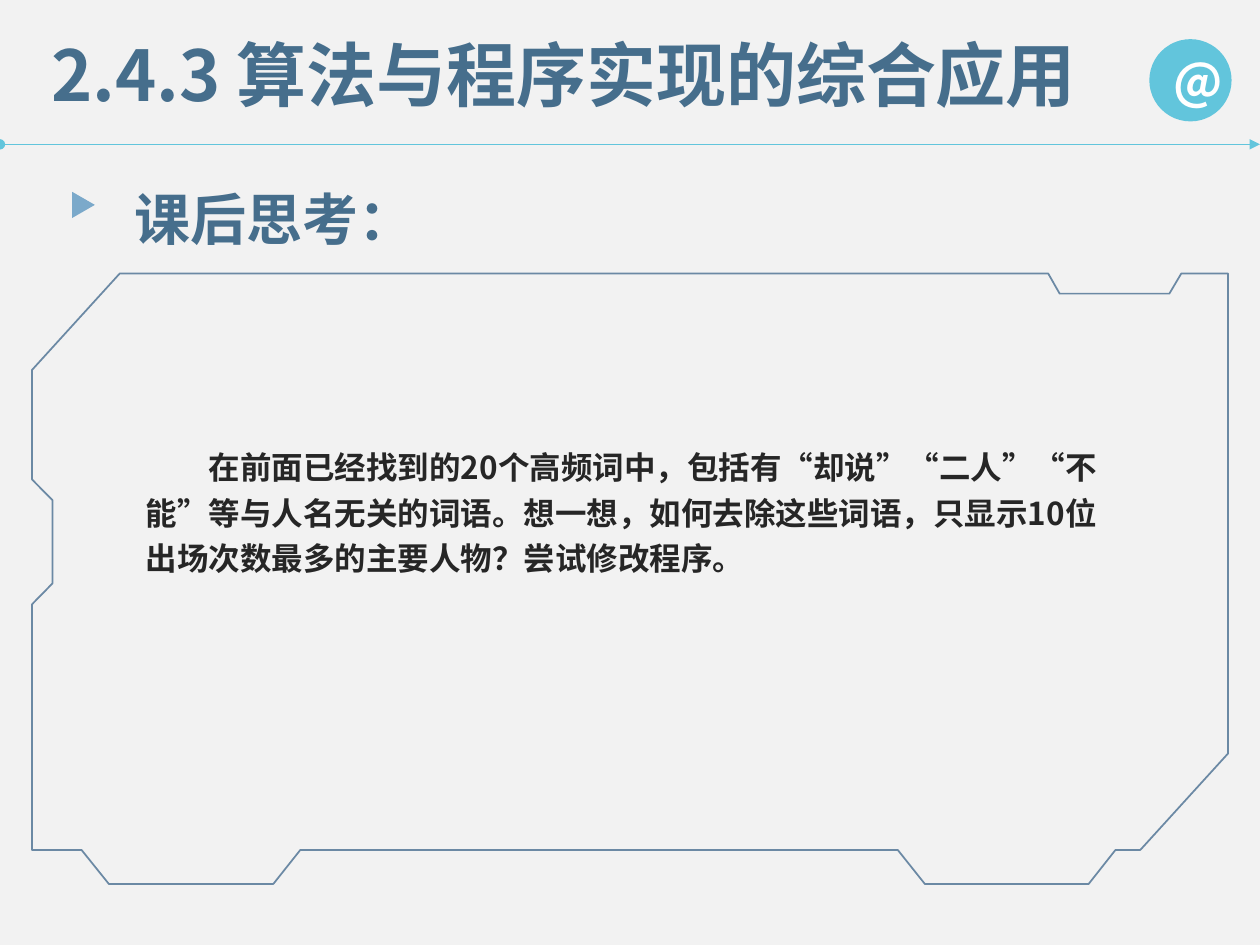
from lxml import etree
from pptx import Presentation
from pptx.dml.color import RGBColor
from pptx.enum import shapes, text
from pptx.oxml.ns import qn
from pptx.util import Pt

FONT = "Noto Sans CJK SC"
CYAN, STEEL, PALE_BLUE = "62C5DC", "466E8C", "7BA9CA"
NAVY, INK, WHITE, PAPER = "1F4E79", "262626", "FFFFFF", "F2F2F2"

# Frame outline in points, clockwise from the top left corner cut
FRAME = [
    (68.4, 156.3), (599, 156.3), (605.5, 167.8), (668.2, 167.8),
    (675, 156.3), (701.7, 156.3), (701.7, 430.6), (651.6, 485.7),
    (637.4, 485.7), (622.1, 505.1), (528.5, 505.1), (513, 485.7),
    (171.6, 485.7), (156.2, 505.1), (62.2, 505.1), (46.6, 485.7),
    (18.3, 485.7), (18.3, 345.3), (30, 333.4), (30, 285.8),
    (18.3, 274), (18.3, 211.4),
]


def rgb(value):
    return RGBColor.from_string(value)


class SlideBuilder:
    def __init__(self, slide, font):
        self.s, self.font = slide, font

    def background(self, color):
        fill = self.s.background.fill
        fill.solid()
        fill.fore_color.rgb = rgb(color)

    def set_text(self, sp, words, size, color, align=None, spacing=None, indent=0):
        """Set one bold paragraph in the shape."""
        p = sp.text_frame.paragraphs[0]
        r = p.add_run()
        r.text = words
        p.alignment = align
        if spacing:
            p.line_spacing = spacing
        if indent:
            p._p.get_or_add_pPr().set("indent", str(Pt(indent)))
        p.font.size, p.font.bold, p.font.name = Pt(size), True, self.font
        p.font.color.rgb = rgb(color)
        ea = etree.SubElement(r._r.get_or_add_rPr(), qn("a:ea"))
        ea.set("typeface", self.font)

    def title(self, box, words, size, color):
        sp = self.s.shapes.title
        sp.left, sp.top, sp.width, sp.height = map(Pt, box)
        tf = sp.text_frame
        tf.vertical_anchor = text.MSO_ANCHOR.TOP
        tf.auto_size = text.MSO_AUTO_SIZE.SHAPE_TO_FIT_TEXT
        self.set_text(sp, words, size, color, text.PP_ALIGN.LEFT)

    def text_box(self, box, words, size, color, **style):
        sp = self.s.shapes.add_textbox(*map(Pt, box))
        sp.text_frame.word_wrap = True
        sp.text_frame.auto_size = text.MSO_AUTO_SIZE.SHAPE_TO_FIT_TEXT
        self.set_text(sp, words, size, color, **style)

    def shape(self, kind, box, color, rotation=0):
        sp = self.s.shapes.add_shape(kind, *map(Pt, box))
        sp.shadow.inherit = False
        sp.fill.solid()
        sp.fill.fore_color.rgb = rgb(color)
        sp.line.fill.background()
        sp.rotation = rotation
        return sp

    def outline(self, points, color, width, opacity):
        """Draw a closed, unfilled polygon with a translucent line."""
        points = [(Pt(x), Pt(y)) for x, y in points]
        builder = self.s.shapes.build_freeform(*points[0])
        builder.add_line_segments(points[1:], close=True)
        sp = builder.convert_to_shape()
        sp.shadow.inherit = False
        sp.fill.background()
        sp.line.width = Pt(width)
        sp.line.color.rgb = rgb(color)
        clr = sp.line._ln.find(".//" + qn("a:srgbClr"))
        etree.SubElement(clr, qn("a:alpha")).set("val", str(opacity * 1000))

    def arrow(self, start, end, color, width):
        """Draw a line from a dot to an arrowhead."""
        line = self.s.shapes.add_connector(
            shapes.MSO_CONNECTOR.STRAIGHT, *map(Pt, start + end))
        line.line.color.rgb = rgb(color)
        line.line.width = Pt(width)
        for tag, kind in (("a:headEnd", "oval"), ("a:tailEnd", "triangle")):
            etree.SubElement(line.line._ln, qn(tag)).set("type", kind)
        etree.SubElement(line._element.spPr, qn("a:effectLst"))


def main():
    prs = Presentation()
    prs.slide_width, prs.slide_height = Pt(720), Pt(540)
    s = SlideBuilder(prs.slides.add_slide(prs.slide_layouts[5]), FONT)
    s.background(PAPER)

    s.title((22.3, 14.4, 642.2, 55.4), "2.4.3 算法与程序实现的综合应用", 40, STEEL)
    s.arrow((0, 82.5), (720, 82.5), CYAN, 0.5)
    badge = s.shape(shapes.MSO_SHAPE.OVAL, (656.8, 22.4, 47, 47), CYAN)
    badge.text_frame.vertical_anchor = text.MSO_ANCHOR.MIDDLE
    s.set_text(badge, "@", 28, WHITE, text.PP_ALIGN.CENTER)

    s.outline(FRAME, NAVY, 1, 64)
    s.shape(shapes.MSO_SHAPE.ISOSCELES_TRIANGLE, (40.2, 110.6, 15, 13),
            PALE_BLUE, rotation=90)
    s.text_box((69.8, 82.8, 447.8, 56.2), "课后思考：", 32, STEEL, spacing=1.5)
    s.text_box(
        (76.3, 248.4, 565.2, 85.7),
        "在前面已经找到的20个高频词中，包括有“却说”“二人”“不能”等与人名无关的词语。"
        "想一想，如何去除这些词语，只显示10位出场次数最多的主要人物？尝试修改程序。",
        18, INK, spacing=1.2, indent=36)
    prs.save("out.pptx")


if __name__ == "__main__":
    main()
